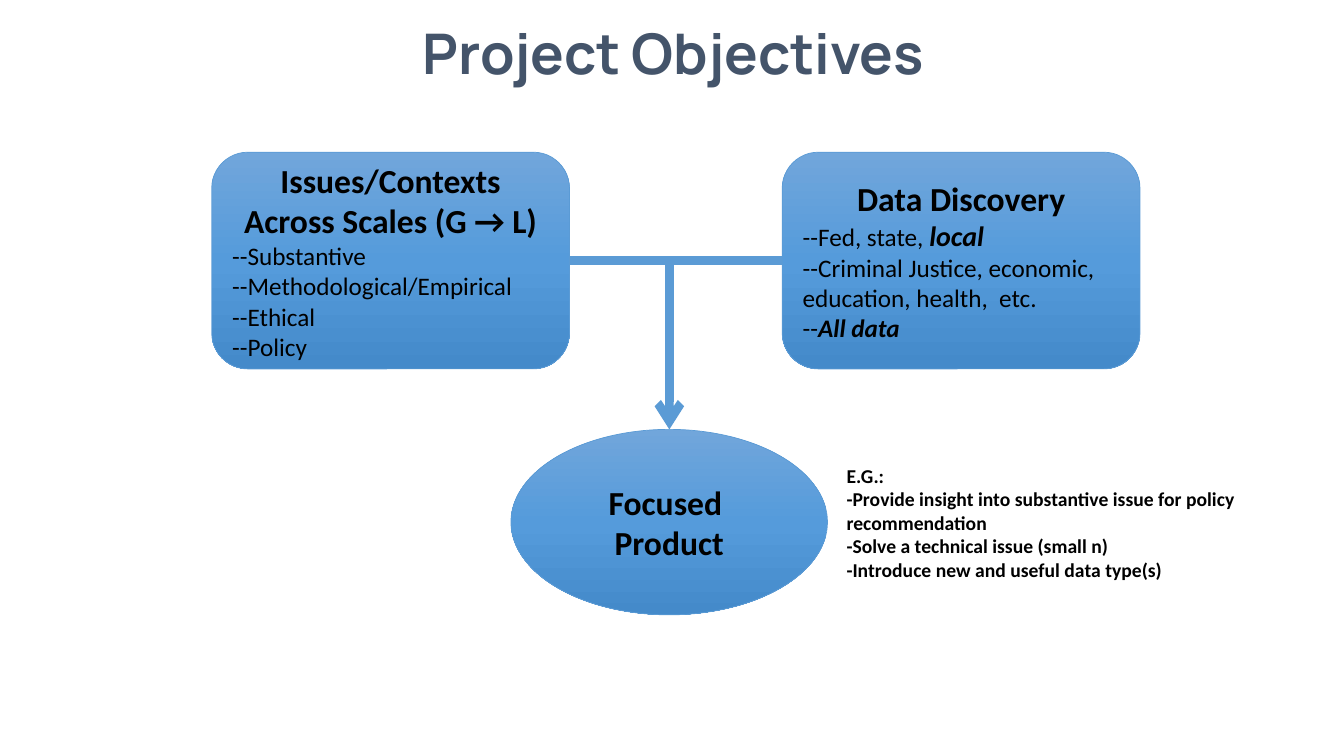
from copy import deepcopy

from pptx import Presentation
from pptx.dml.color import RGBColor as Rgb
from pptx.enum.shapes import MSO_CONNECTOR as Link, MSO_SHAPE as Preset
from pptx.enum.text import MSO_ANCHOR as Anchor, PP_ALIGN as Align
from pptx.oxml.ns import qn
from pptx.oxml.xmlchemy import OxmlElement as Element
from pptx.util import Pt

# Content: each line is (alignment, size name, [(text, style)]), style "b" bold, "i" italic
TITLE = [("center", "title", [("Project Objectives", "b")])]
ISSUES = [
    ("center", "heading", [("Issues/Contexts", "b")]),
    ("center", "heading", [("Across Scales (G → L)", "b")]),
    ("left", "body", [("--Substantive", "")]),
    ("left", "body", [("--Methodological/Empirical", "")]),
    ("left", "body", [("--Ethical", "")]),
    ("left", "body", [("--Policy", "")]),
]
DATA = [
    ("center", "heading", [("Data Discovery", "b")]),
    ("left", "body", [("--Fed, state, ", ""), ("local", "bi+")]),
    ("left", "body", [("--Criminal Justice, economic, education, health,  etc.", "")]),
    ("left", "body", [("--", ""), ("All data", "bi")]),
]
PRODUCT = [
    ("center", "heading", [("Focused ", "b")]),
    ("center", "heading", [("Product", "b")]),
]
EXAMPLES = [
    ("left", "note", [(text, "b")])
    for text in (
        "E.G.:",
        "-Provide insight into substantive issue for policy",
        "recommendation",
        "-Solve a technical issue (small n)",
        "-Introduce new and useful data type(s)",
    )
]

THEME = {
    "title_font": "Manrope", "font": "Calibri",
    "title_color": "44546A", "text": "000000", "line": "5B9BD5",
    "gradient": [(0, "71A6DB"), (0.5, "559BDB"), (1, "448ACA")],
    "sizes": {"title": 40, "heading": 24, "body": 18, "strong": 20, "note": 14},
}
ALIGN = {"center": Align.CENTER, "left": Align.LEFT}

# Layout in points
BOX_W, BOX_H, BOX_TOP = 255.6, 154.8, 108.7
ISSUES_LEFT, DATA_LEFT = 151.2, 558.7
OVAL_W, OVAL_H, OVAL_TOP = 226.1, 132.5, 306.7
STEM_X = 478.1
LINK_Y = BOX_TOP + BOX_H / 2

deck = Presentation()
deck.slide_width, deck.slide_height = Pt(960), Pt(540)
page = deck.slides.add_slide(deck.slide_layouts[6])


def write(shape, lines, font=THEME["font"], color=THEME["text"], wrap=True,
          anchor=Anchor.MIDDLE, spacing=None):
    frame = shape.text_frame
    frame.word_wrap, frame.vertical_anchor = wrap, anchor
    for number, (align, size, spans) in enumerate(lines):
        para = frame.add_paragraph() if number else frame.paragraphs[0]
        para.alignment, para.line_spacing = ALIGN[align], spacing
        para.font.name, para.font.size = font, Pt(THEME["sizes"][size])
        para.font.color.rgb = Rgb.from_string(color)
        for text, style in spans:
            span = para.add_run()
            span.text = text
            span.font.name, span.font.color.rgb = font, Rgb.from_string(color)
            span.font.size = Pt(THEME["sizes"]["strong" if "+" in style else size])
            span.font.bold, span.font.italic = "b" in style, "i" in style


def text_box(left, top, width, height, lines, **options):
    box = page.shapes.add_textbox(Pt(left), Pt(top), Pt(width), Pt(height))
    write(box, lines, **options)


def node(preset, left, top, width, height, lines):
    shape = page.shapes.add_shape(preset, Pt(left), Pt(top), Pt(width), Pt(height))
    shape.shadow.inherit = False
    shape.fill.gradient()
    shape.fill.gradient_angle = 270
    stops = shape._element.spPr.find(qn("a:gradFill")).find(qn("a:gsLst"))
    stops.append(deepcopy(stops[-1]))
    for stop, (position, color) in zip(shape.fill.gradient_stops, THEME["gradient"]):
        stop.position, stop.color.rgb = position, Rgb.from_string(color)
    shape.line.color.rgb, shape.line.width = Rgb.from_string(THEME["line"]), Pt(0.5)
    write(shape, lines)


def link(kind, x1, y1, x2, y2):
    line = page.shapes.add_connector(kind, Pt(x1), Pt(y1), Pt(x2), Pt(y2))
    line.line.color.rgb, line.line.width = Rgb.from_string(THEME["line"]), Pt(6)
    line._element.spPr.append(Element("a:effectLst"))
    return line


# Title
text_box(35.3, 0, 891.4, 80.6, TITLE, font=THEME["title_font"],
         color=THEME["title_color"], spacing=0.9)

# Source boxes
for left, lines in ((ISSUES_LEFT, ISSUES), (DATA_LEFT, DATA)):
    node(Preset.ROUNDED_RECTANGLE, left, BOX_TOP, BOX_W, BOX_H, lines)

# One-bend arrow from the data box down to the product
arrow = link(Link.ELBOW, DATA_LEFT, LINK_Y, STEM_X, OVAL_TOP)
properties = arrow._element.spPr
properties.find(qn("a:prstGeom")).set("prst", "bentConnector2")
turn = properties.find(qn("a:xfrm"))
turn.attrib.pop("flipH", None)
turn.set("rot", "10800000")
turn.set("flipV", "1")
head = Element("a:tailEnd")
head.set("type", "arrow")
properties.find(qn("a:ln")).append(head)

# Bar from the issues box to the stem
link(Link.STRAIGHT, ISSUES_LEFT + BOX_W, LINK_Y, STEM_X, LINK_Y)

# Product and its examples
node(Preset.OVAL, 365, OVAL_TOP, OVAL_W, OVAL_H, PRODUCT)
text_box(597.6, 327.6, 295.2, 92.2, EXAMPLES, wrap=False, anchor=Anchor.TOP)

deck.save("out.pptx")
